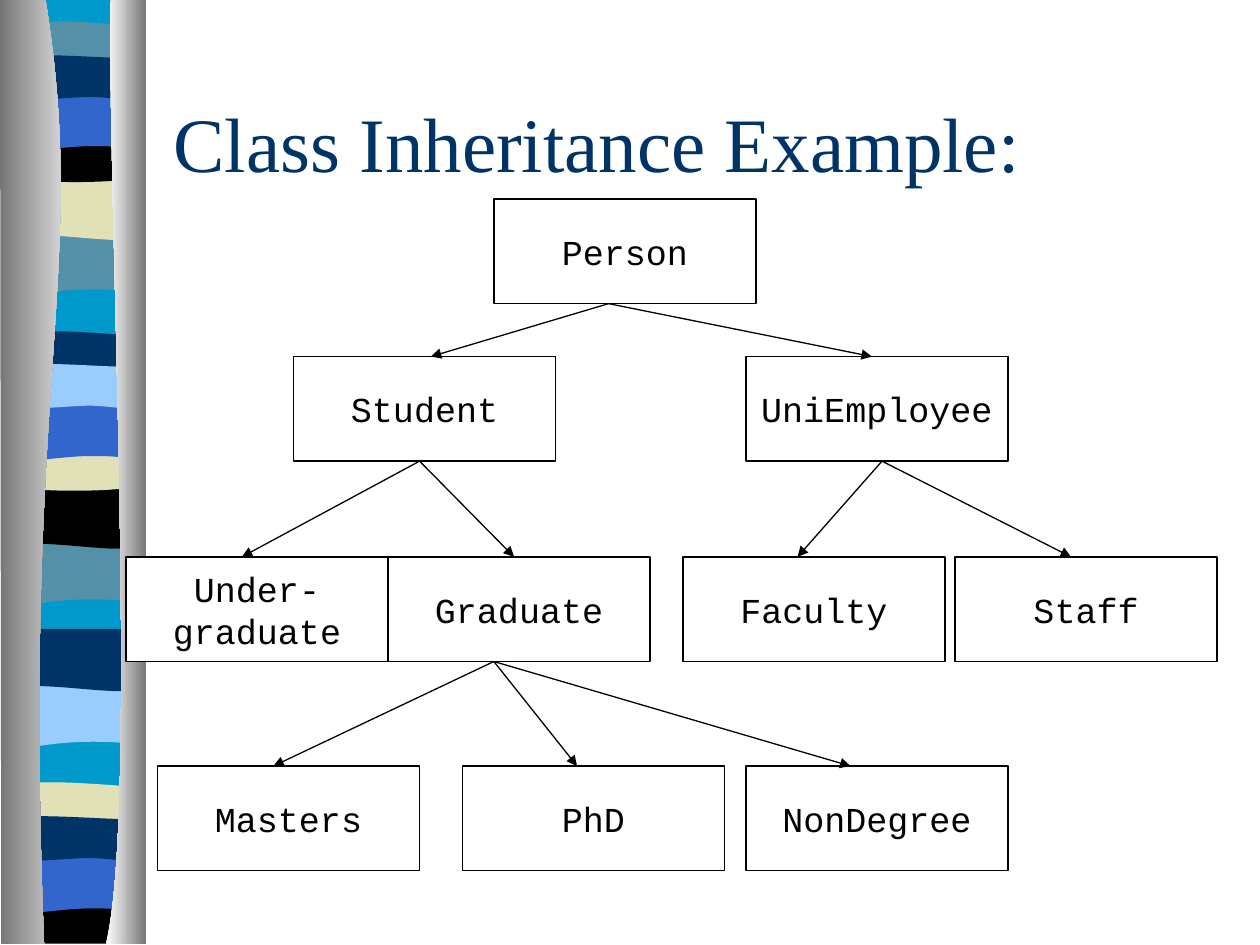
"""Build the class inheritance slide: a tree of classes beside a striped ribbon."""
from dataclasses import dataclass

from lxml.etree import SubElement
from pptx import Presentation
from pptx.dml.color import RGBColor
from pptx.enum.shapes import MSO_CONNECTOR, MSO_SHAPE
from pptx.enum.text import MSO_ANCHOR, PP_ALIGN
from pptx.oxml.ns import qn
from pptx.util import Inches, Pt

COLORS = {
    "black": "000000", "white": "FFFFFF", "gray": "767676", "navy": "003366",
    "blue": "3366CC", "cyan": "0099CC", "teal": "5490A8", "sky": "99CCFF",
    "sand": "E1E1B7",
}
BOX_WIDTH, BOX_HEIGHT = 2.08, 0.83
STRIPE_WIDTH = 1.08

OUTLINES = {
    "wave": [(1.08, 0), (1.08, 0.47), (0.33, 0.39, 0.18, 0.55, 0, 0.47), (0, 0)],
    "swell": [(1.08, 0), (1.08, 0.47), (0.9, 0.55, 0.33, 0.41, 0, 0.47), (0, 0)],
    "ribbon": [(1.08, 0), (1.08, 0.24), (0.9, 0.28, 0.18, 0.28, 0, 0.24), (0, 0),
               (0.06, -0.05, 0.23, -0.04, 0.41, -0.04),
               (0.59, -0.04, 0.94, -0.01, 1.08, 0)],
    "trough": [(1.08, 0), (1.08, 0.32), (0.9, 0.38, 0.18, 0.38, 0, 0.32), (0, 0),
               (0.66, 0.05, 0.85, 0, 1.08, 0)],
    "arch": [(1.08, 0), (1.08, 0.47), (0.91, 0.42, 0.84, 0.42, 0.66, 0.42),
             (0.48, 0.42, 0.16, 0.47, 0, 0.47), (0, 0)],
    "drape": [(1.08, 0), (1.08, 0.31), (1.01, 0.36, 0.84, 0.31, 0.66, 0.31),
              (0.48, 0.31, 0.11, 0.36, 0, 0.31), (0, 0),
              (0.15, -0.05, 0.73, 0, 0.91, 0), (1.09, 0, 1.04, 0, 1.08, 0)],
    "foot": [(1.08, 0), (1.08, 0.37), (0, 0.37), (0, 0),
             (0.66, 0.05, 0.85, 0, 1.08, 0)],
    "ground": [(1.08, 0), (1.08, 7.48), (0, 7.48), (0, 0)],
    "left edge": [(0.36, 0), (0.71, 2.17, 0.17, 2.97, 0.35, 7.5), (0.01, 7.5), (0, 0)],
    "right edge": [(0.88, 0), (0.84, 1.26, 1.11, 6.47, 0.84, 7.5), (1.16, 7.5), (1.16, 0)],
}


@dataclass(frozen=True)
class Stripe:
    outline: str
    color: str
    left: float
    top: float


@dataclass(frozen=True)
class ClassBox:
    name: str
    left: float
    top: float


@dataclass(frozen=True)
class Link:
    parent: str
    start_x: float
    child: str
    end_x: float


STRIPES = [
    Stripe("ground", "cyan", 0.06, -0.01),
    Stripe("wave", "teal", 0.06, 1.85),
    Stripe("swell", "sand", 0.06, 1.41),
    Stripe("ribbon", "teal", 0.06, 0.21),
    Stripe("trough", "black", 0.06, 1.08),
    Stripe("arch", "blue", 0.06, 0.74),
    Stripe("drape", "navy", 0.06, 0.46),
    Stripe("wave", "teal", 0.05, 4.31),
    Stripe("swell", "black", 0.05, 3.86),
    Stripe("ribbon", "navy", 0.05, 2.67),
    Stripe("trough", "sand", 0.05, 3.53),
    Stripe("arch", "blue", 0.05, 3.2),
    Stripe("drape", "sky", 0.05, 2.91),
    Stripe("wave", "sky", 0.06, 5.44),
    Stripe("swell", "navy", 0.06, 4.99),
    Stripe("ribbon", "sand", 0.05, 6.25),
    Stripe("foot", "black", 0.05, 7.12),
    Stripe("arch", "blue", 0.05, 6.79),
    Stripe("drape", "navy", 0.05, 6.5),
]
CLASSES = [
    ClassBox("Person", 3.92, 1.58),
    ClassBox("Student", 2.33, 2.83),
    ClassBox("UniEmployee", 5.92, 2.83),
    ClassBox("Faculty", 5.42, 4.42),
    ClassBox("Staff", 7.58, 4.42),
    ClassBox("Under-\ngraduate", 1, 4.42),
    ClassBox("Graduate", 3.08, 4.42),
    ClassBox("Masters", 1.25, 6.08),
    ClassBox("PhD", 3.67, 6.08),
    ClassBox("NonDegree", 5.92, 6.08),
]
LINKS = [
    Link("Person", 4.83, "Student", 3.42),
    Link("Person", 4.83, "UniEmployee", 6.92),
    Link("Student", 3.33, "Under-\ngraduate", 1.92),
    Link("Student", 3.33, "Graduate", 4.08),
    Link("UniEmployee", 7, "Faculty", 6.33),
    Link("UniEmployee", 7, "Staff", 8.5),
    Link("Graduate", 3.92, "Masters", 2.17),
    Link("Graduate", 3.92, "PhD", 4.58),
    Link("Graduate", 3.92, "NonDegree", 6.75),
]


def rgb(color: str) -> RGBColor:
    """Look up a named colour."""
    return RGBColor.from_string(COLORS[color])


def draw_outline(slide, outline: str, left: float, top: float):
    """Draw a closed outline whose six-number steps are Bezier curves."""
    start, *steps = OUTLINES[outline]
    points = [(Inches(left + step[i]), Inches(top + step[i + 1]))
              for step in steps for i in range(0, len(step), 2)]
    builder = slide.shapes.build_freeform(Inches(left + start[0]), Inches(top + start[1]))
    builder.add_line_segments(points, close=True)
    shape = builder.convert_to_shape()
    shape.shadow.inherit = False
    shape.line.fill.background()
    segments = iter(list(shape.element.iter(qn("a:lnTo"))))
    for step in steps:
        segment = next(segments)
        if len(step) == 6:
            segment.tag = qn("a:cubicBezTo")
            for _ in range(2):
                extra = next(segments)
                segment.append(extra[0])
                extra.getparent().remove(extra)
    return shape


def draw_stripe(slide, stripe: Stripe) -> None:
    """Draw one coloured stripe of the ribbon."""
    shape = draw_outline(slide, stripe.outline, stripe.left, stripe.top)
    shape.fill.solid()
    shape.fill.fore_color.rgb = rgb(stripe.color)


def draw_edge(slide, outline: str, colors: tuple[str, str]) -> None:
    """Draw one shaded edge of the ribbon, from the left colour to the right."""
    fill = draw_outline(slide, outline, 0, -0.01).fill
    fill.gradient()
    fill.gradient_angle = 0
    for stop, color in zip(fill.gradient_stops, colors):
        stop.color.rgb = rgb(color)


def style_text(frame, font: str, size: int, color: str, align: PP_ALIGN) -> None:
    """Give every run of a text frame the same look."""
    frame.vertical_anchor = MSO_ANCHOR.MIDDLE
    for paragraph in frame.paragraphs:
        paragraph.alignment = align
        for run in paragraph.runs:
            run.font.name, run.font.size = font, Pt(size)
            run.font.color.rgb = rgb(color)


def draw_class(slide, box: ClassBox) -> None:
    """Draw one class of the tree."""
    shape = slide.shapes.add_shape(MSO_SHAPE.RECTANGLE, Inches(box.left), Inches(box.top),
                                   Inches(BOX_WIDTH), Inches(BOX_HEIGHT))
    shape.shadow.inherit = False
    shape.fill.solid()
    shape.fill.fore_color.rgb = rgb("white")
    shape.line.color.rgb = rgb("black")
    shape.line.width = Pt(0.75)
    shape.text_frame.text = box.name
    shape.text_frame.word_wrap = False
    style_text(shape.text_frame, "Courier New", 20, "black", PP_ALIGN.CENTER)


def draw_link(slide, link: Link, tops: dict[str, float]) -> None:
    """Draw an arrow from a parent's bottom edge to a child's top edge."""
    arrow = slide.shapes.add_connector(
        MSO_CONNECTOR.STRAIGHT, Inches(link.start_x), Inches(tops[link.parent] + BOX_HEIGHT),
        Inches(link.end_x), Inches(tops[link.child]))
    arrow.line.color.rgb = rgb("black")
    arrow.line.width = Pt(0.75)
    SubElement(arrow.line._get_or_add_ln(), qn("a:tailEnd"), type="triangle")
    SubElement(arrow.element.spPr, qn("a:effectLst"))


def main() -> None:
    """Build and save the slide."""
    deck = Presentation()
    deck.slide_width, deck.slide_height = Inches(10), Inches(7.5)
    slide = deck.slides.add_slide(deck.slide_layouts[6])
    for stripe in STRIPES:
        draw_stripe(slide, stripe)
    draw_edge(slide, "left edge", ("gray", "white"))
    draw_edge(slide, "right edge", ("white", "gray"))
    title = slide.shapes.add_textbox(Inches(1.28), Inches(0.5), Inches(8.5), Inches(1.25))
    title.text_frame.text = "Class Inheritance Example:"
    title.text_frame.word_wrap = True
    style_text(title.text_frame, "Times New Roman", 44, "navy", PP_ALIGN.LEFT)
    for box in CLASSES:
        draw_class(slide, box)
    tops = {box.name: box.top for box in CLASSES}
    for link in LINKS:
        draw_link(slide, link, tops)
    deck.save("out.pptx")


if __name__ == "__main__":
    main()
